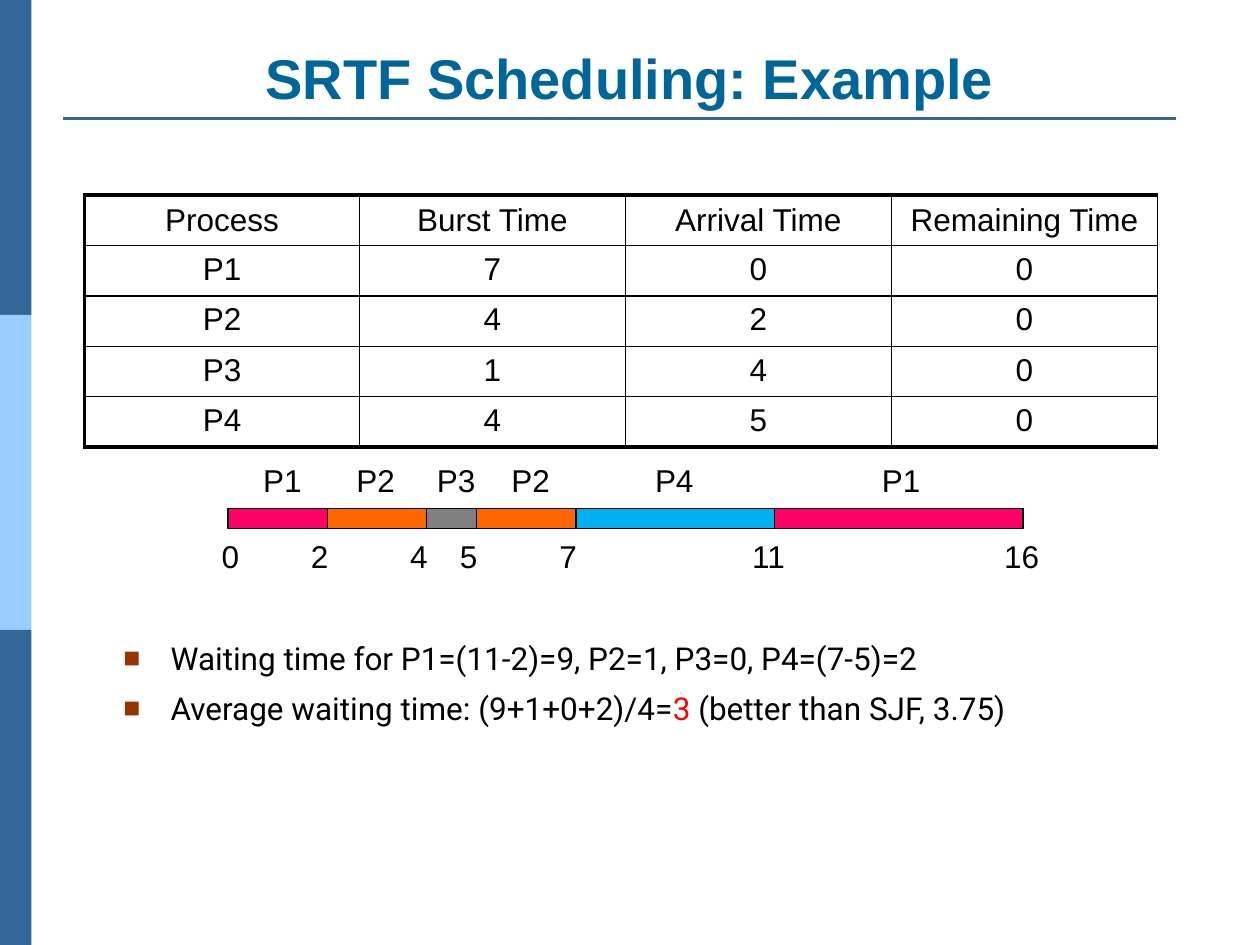
from dataclasses import dataclass
from lxml.etree import SubElement
from pptx import Presentation
from pptx.dml.color import RGBColor
from pptx.enum.shapes import MSO_CONNECTOR as Connector, MSO_SHAPE as Shape
from pptx.enum.text import MSO_ANCHOR as Anchor, PP_ALIGN as Align
from pptx.oxml.ns import qn
from pptx.util import Pt


@dataclass(frozen=True)
class Theme:
    font: str = "Arial"
    body_font: str = "Roboto"
    title_size: int = 32
    text_size: int = 18
    title: str = "006699"
    text: str = "000000"
    accent: str = "FF0000"
    bullet: str = "993300"
    dark_blue: str = "336699"
    light_blue: str = "99CCFF"
    pink: str = "FF0066"
    orange: str = "FF6600"
    gray: str = "808080"
    cyan: str = "00B0F0"


theme = Theme()


def write(paragraph, text, font=theme.font, size=theme.text_size,
          color=theme.text, bold=False, align=Align.LEFT):
    paragraph.alignment = align
    run = paragraph.add_run()
    run.text = text
    run.font.name = font
    run.font.size = Pt(size)
    run.font.bold = bold
    run.font.color.rgb = RGBColor.from_string(color)


def add_box(left, top, width, height, fill, outline=None):
    box = slide.shapes.add_shape(Shape.RECTANGLE, Pt(left), Pt(top), Pt(width), Pt(height))
    box.shadow.inherit = False
    box.fill.solid()
    box.fill.fore_color.rgb = RGBColor.from_string(fill)
    if outline:
        box.line.color.rgb = RGBColor.from_string(outline)
        box.line.width = Pt(0.75)
    else:
        box.line.fill.background()


presentation = Presentation()
presentation.slide_width = Pt(720)
presentation.slide_height = Pt(540)
slide = presentation.slides.add_slide(presentation.slide_layouts[6])

for index, color in enumerate([theme.dark_blue, theme.light_blue, theme.dark_blue]):
    add_box(0, index * 180, 18, 180, color)

rule = slide.shapes.add_connector(Connector.STRAIGHT, Pt(36), Pt(67.7), Pt(672), Pt(67.7))
rule.line.color.rgb = RGBColor.from_string(theme.dark_blue)
rule.line.width = Pt(1.5)
SubElement(rule._element.spPr, qn("a:effectLst"))

title = slide.shapes.add_textbox(Pt(36), Pt(21.6), Pt(648), Pt(45.4)).text_frame
title.word_wrap = True
title.vertical_anchor = Anchor.BOTTOM
write(title.paragraphs[0], "SRTF Scheduling: Example", size=theme.title_size,
      color=theme.title, bold=True, align=Align.CENTER)

rows = [
    ["Process", "Burst Time", "Arrival Time", "Remaining Time"],
    ["P1", "7", "0", "0"],
    ["P2", "4", "2", "0"],
    ["P3", "1", "4", "0"],
    ["P4", "4", "5", "0"],
]
column_widths = [157, 152, 152, 152]
table = slide.shapes.add_table(len(rows), len(column_widths), Pt(48.4), Pt(111.4),
                               Pt(sum(column_widths)), Pt(144)).table
table.first_row = False
table.horz_banding = False
for column, width in zip(table.columns, column_widths):
    column.width = Pt(width)
for row_index, row in enumerate(rows):
    table.rows[row_index].height = Pt(28.8)
    for column_index, text in enumerate(row):
        cell = table.cell(row_index, column_index)
        cell.vertical_anchor = Anchor.TOP if row_index else Anchor.MIDDLE
        write(cell.text_frame.paragraphs[0], text, align=Align.CENTER)
        thick_sides = {"L": column_index == 0, "R": False,
                       "T": row_index == 0, "B": row_index == len(rows) - 1}
        properties = cell._tc.get_or_add_tcPr()
        for side, thick in thick_sides.items():
            border = SubElement(properties, qn(f"a:ln{side}"), w=str(Pt(2.25 if thick else 1)))
            SubElement(SubElement(border, qn("a:solidFill")), qn("a:srgbClr"), val=theme.text)
        cell.fill.background()

segments = [
    ("P1", 0, 2, theme.pink, 143.3),
    ("P2", 2, 4, theme.orange, 196.6),
    ("P3", 4, 5, theme.gray, 242.6),
    ("P2", 5, 7, theme.orange, 285.1),
    ("P4", 7, 11, theme.cyan, 367.2),
    ("P1", 11, 16, theme.pink, 496.8),
]
chart_left, time_unit = 130.3, 28.4
tick_shifts = {0: 10.8, 2: 16.6, 4: 16.6, 5: 16.6, 7: 16.6, 11: 20, 16: 18}
labels = [(str(time), chart_left + time * time_unit - shift, 303.2)
          for time, shift in tick_shifts.items()]
for process, start, end, color, label_left in segments:
    add_box(chart_left + start * time_unit, 290.7, (end - start) * time_unit, 11.5,
            color, outline=theme.text)
    labels.append((process, label_left, 260))
for text, left, top in labels:
    label = slide.shapes.add_textbox(Pt(left), Pt(top), Pt(38), Pt(28.8)).text_frame
    label.word_wrap = False
    write(label.paragraphs[0], text)

notes = [
    [("Waiting time for P1=(11-2)=9, P2=1, P3=0, P4=(7-5)=2", theme.text)],
    [("Average waiting time: (9+1+0+2)/4=", theme.text), ("3 ", theme.accent),
     ("(better than SJF, 3.75)", theme.text)],
]
body = slide.shapes.add_textbox(Pt(63.4), Pt(361.4), Pt(648), Pt(92.2)).text_frame
body.word_wrap = True
for index, note in enumerate(notes):
    paragraph = body.add_paragraph() if index else body.paragraphs[0]
    for text, color in note:
        write(paragraph, text, font=theme.body_font, color=color)
    paragraph.space_after = Pt(7)
    properties = paragraph._p.get_or_add_pPr()
    properties.set("marL", str(Pt(27)))
    properties.set("indent", str(Pt(-27)))
    SubElement(SubElement(properties, qn("a:buClr")), qn("a:srgbClr"), val=theme.bullet)
    SubElement(properties, qn("a:buSzPct"), val="90000")
    SubElement(properties, qn("a:buFont"), typeface=theme.font)
    SubElement(properties, qn("a:buChar"), char="■")

presentation.save("out.pptx")
